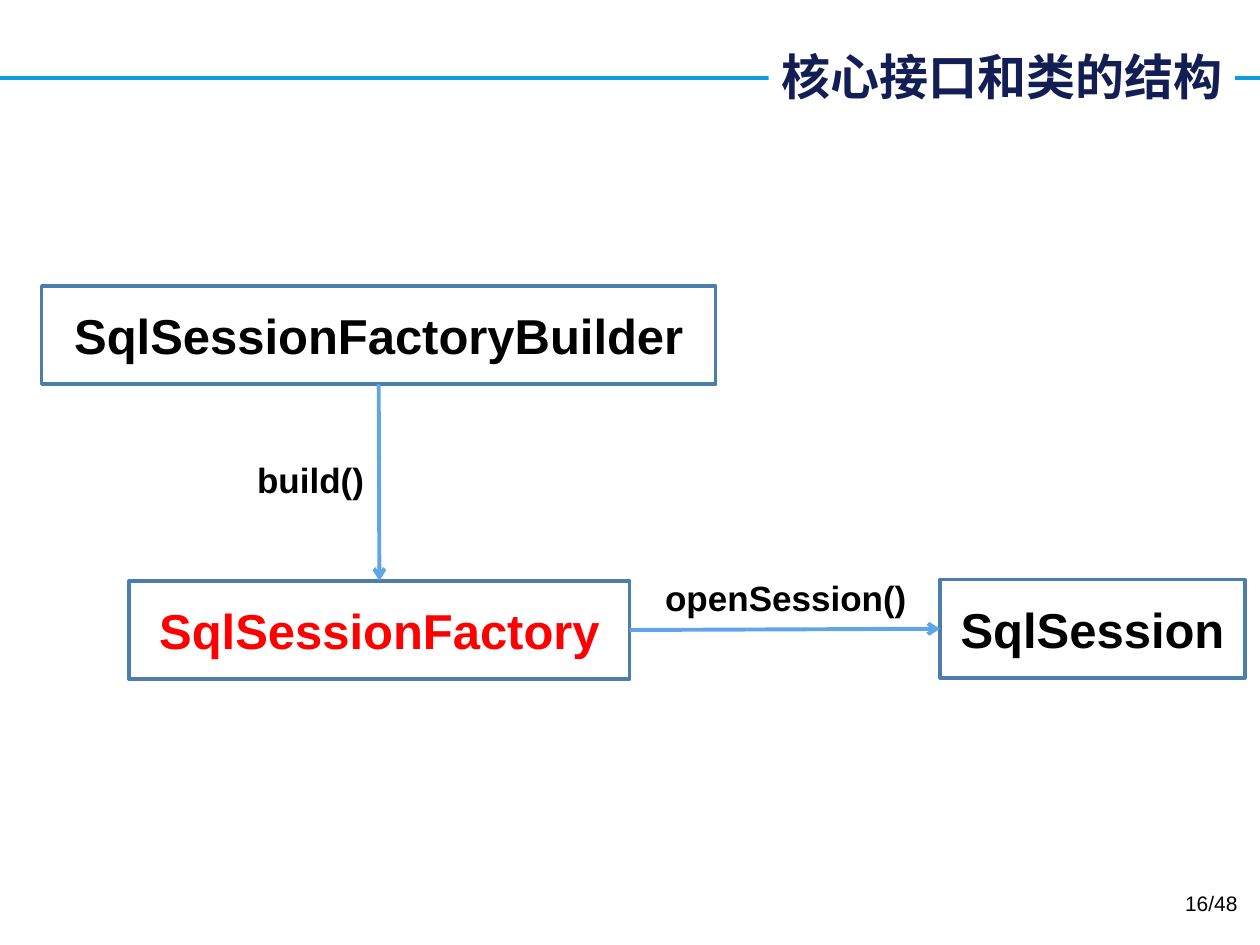
from dataclasses import dataclass

from lxml import etree
from pptx import Presentation
from pptx.dml.color import RGBColor
from pptx.enum.shapes import MSO_CONNECTOR, MSO_SHAPE
from pptx.enum.text import MSO_ANCHOR, MSO_AUTO_SIZE, PP_ALIGN
from pptx.oxml.ns import qn
from pptx.util import Pt

LINE = MSO_CONNECTOR.STRAIGHT
RECT = MSO_SHAPE.RECTANGLE
TOP, MIDDLE = MSO_ANCHOR.TOP, MSO_ANCHOR.MIDDLE
LEFT, CENTER, RIGHT = PP_ALIGN.LEFT, PP_ALIGN.CENTER, PP_ALIGN.RIGHT
NO_FIT = MSO_AUTO_SIZE.NONE
SIDE_TOP, SIDE_LEFT, SIDE_BOTTOM, SIDE_RIGHT = range(4)


@dataclass(frozen=True)
class Theme:
    white: str = "FFFFFF"
    rule: str = "0E9CDE"
    title: str = "121E54"
    border: str = "4B7EAC"
    arrow: str = "60A6E7"
    text: str = "000000"
    accent: str = "FF0000"
    font: str = "Arial"
    cjk: str = "Noto Sans CJK SC"
    big: int = 28
    label: int = 20
    small: int = 12
    edge: float = 2
    stroke: float = 2.25


THEME = Theme()


def rgb(code):
    return RGBColor.from_string(code)


def write(shape, text, size, color=THEME.text, align=LEFT, anchor=TOP,
          bold=True, face=THEME.font):
    frame = shape.text_frame
    frame.word_wrap = True
    frame.auto_size = NO_FIT
    frame.vertical_anchor = anchor
    para = frame.paragraphs[0]
    para.alignment = align
    run = para.add_run()
    run.text = text
    font = run.font
    font.size, font.bold, font.name = Pt(size), bold, face
    font.color.rgb = rgb(color)
    # East Asian glyphs need their own typeface entry
    etree.SubElement(font._element, qn("a:ea"), typeface=face)


def add_line(slide, start, end, color):
    line = slide.shapes.add_connector(LINE, *map(Pt, start + end))
    line.line.color.rgb = rgb(color)
    line.line.width = Pt(THEME.stroke)
    etree.SubElement(line._element.spPr, qn("a:effectLst"))
    return line


def add_node(slide, box, text, color=THEME.text):
    node = slide.shapes.add_shape(RECT, *map(Pt, box))
    node.shadow.inherit = False
    node.fill.background()
    node.line.color.rgb = rgb(THEME.border)
    node.line.width = Pt(THEME.edge)
    write(node, text, THEME.big, color, CENTER, MIDDLE)
    return node


def add_text(slide, box, text, size, **style):
    write(slide.shapes.add_textbox(*map(Pt, box)), text, size, **style)


def join(slide, first, out, last, into):
    line = add_line(slide, (0, 0), (0, 0), THEME.arrow)
    line.begin_connect(first, out)
    line.end_connect(last, into)
    etree.SubElement(line.line._get_or_add_ln(), qn("a:tailEnd"), type="arrow")


def add_header(slide, box, text):
    x, y, wide, high = box
    title = slide.shapes.title
    title.left, title.top, title.width, title.height = map(
        Pt, (x + wide - 280.8, y, 266.4, high))
    title.fill.solid()
    title.fill.fore_color.rgb = rgb(THEME.white)
    write(title, text, THEME.big, THEME.title, RIGHT, MIDDLE, face=THEME.cjk)
    # The rule runs behind the title
    mid = y + 38.9
    rule = add_line(slide, (x, mid), (x + wide, mid), THEME.rule)
    title._element.addprevious(rule._element)


def add_flow(slide, box):
    x, y, wide, high = box
    tall = 56.2
    low = y + high - tall
    # Classes
    builder = add_node(slide, (x, y, 385.2, tall), "SqlSessionFactoryBuilder")
    factory = add_node(slide, (x + 50, low, 286, tall), "SqlSessionFactory",
                       THEME.accent)
    session = add_node(slide, (x + wide - 174.2, low - 0.7, 174.2, tall),
                       "SqlSession")
    # Calls between them
    join(slide, builder, SIDE_BOTTOM, factory, SIDE_TOP)
    join(slide, factory, SIDE_RIGHT, session, SIDE_LEFT)
    add_text(slide, (x + 116, y + 95, 101.5, 31.7), "build()", THEME.label)
    add_text(slide, (x + 349.2, low - 5.8, 163.4, 31.7), "openSession()",
             THEME.label)


def add_footer(slide, box, text):
    add_text(slide, box, text, THEME.small, align=RIGHT, bold=False)


def main():
    deck = Presentation()
    deck.slide_width, deck.slide_height = Pt(720), Pt(540)
    slide = deck.slides.add_slide(deck.slide_layouts[5])
    add_header(slide, (0, 5.8, 720, 75.6), "核心接口和类的结构")
    add_flow(slide, (23.8, 163.4, 687.6, 224.7))
    add_footer(slide, (546.5, 505.4, 167.8, 28.8), "16/48")
    deck.save("out.pptx")


if __name__ == "__main__":
    main()
